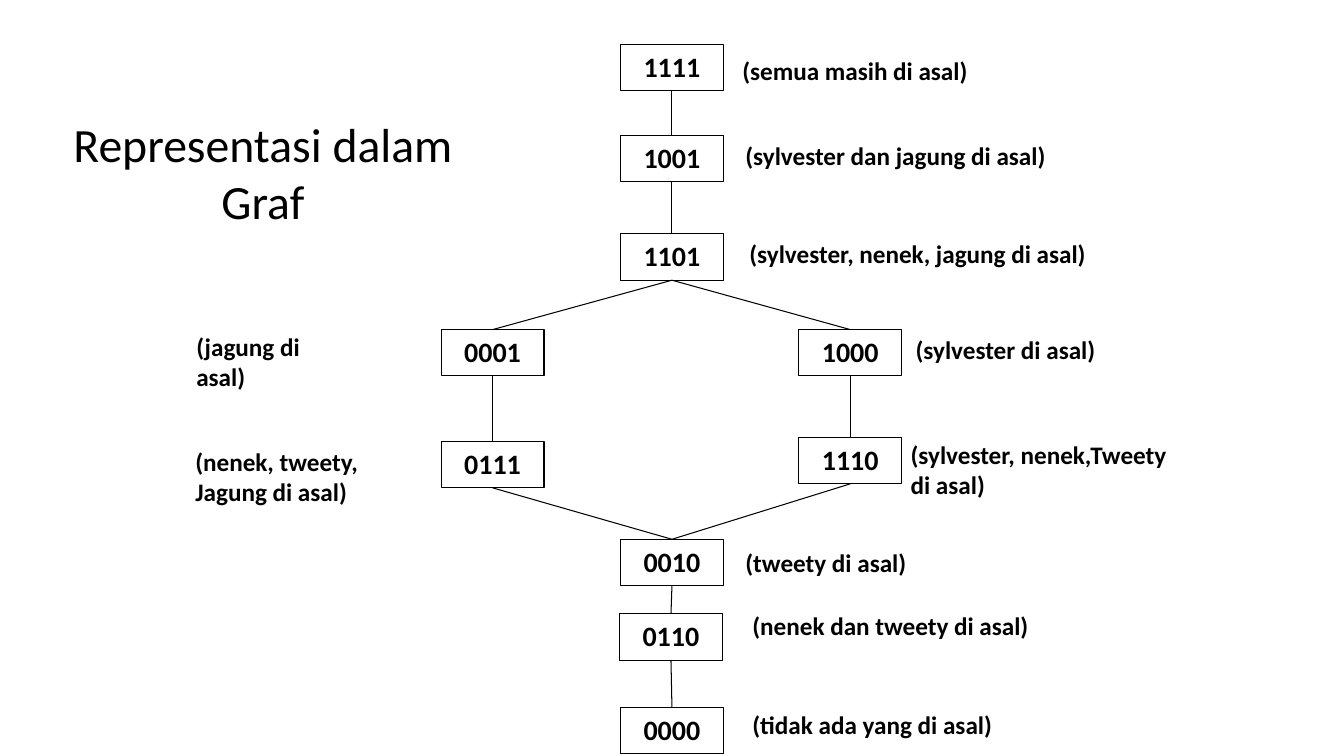
from lxml.etree import SubElement
from pptx import Presentation
from pptx.dml.color import RGBColor as RGB
from pptx.enum.shapes import MSO_CONNECTOR as LineKind, MSO_SHAPE as Preset
from pptx.enum.text import MSO_ANCHOR as Anchor, PP_ALIGN as Align
from pptx.oxml.ns import qn
from pptx.util import Inches, Pt

COLORS = {"ink": "000000", "paper": "FFFFFF"}
STATE_WIDTH, STATE_HEIGHT = 1.02, 0.46
BOTTOM, TOP = 2, 0

STATES = {
    "1111": (6.16, 0.44),
    "1001": (6.16, 1.34),
    "1101": (6.16, 2.32),
    "0001": (4.38, 3.27),
    "1000": (7.93, 3.27),
    "1110": (7.93, 4.34),
    "0111": (4.38, 4.38),
    "0010": (6.16, 5.35),
    "0110": (6.15, 6.09),
    "0000": (6.16, 7.02),
}

MOVES = [
    ("1111", "1001"), ("1001", "1101"), ("1101", "0001"), ("1101", "1000"),
    ("1000", "1110"), ("0001", "0111"), ("0111", "0010"), ("1110", "0010"),
    ("0010", "0110"), ("0110", "0000"),
]

MEANINGS = [
    ("(semua masih di asal)", 7.27, 0.5, 2.5),
    ("(sylvester dan jagung di asal)", 7.3, 1.34, 3.25),
    ("(sylvester, nenek, jagung di asal)", 7.34, 2.32, 3.65),
    ("(jagung di asal)", 1.85, 3.24, 1.6),
    ("(nenek, tweety,\nJagung di asal)", 1.84, 4.38, 1.95),
    ("(tweety di asal)", 7.3, 5.38, 1.88),
    ("(nenek dan tweety di asal)", 7.37, 6.01, 3),
    ("(tidak ada yang di asal)", 7.37, 6.99, 2.65),
    ("(sylvester di asal)", 8.99, 3.27, 2.05),
    ("(sylvester, nenek,Tweety\ndi asal)", 8.94, 4.31, 2.85),
]


class GraphSlide:
    font = "Calibri"
    line_width = Pt(0.75)

    def __init__(self, deck):
        self.shapes = deck.slides.add_slide(deck.slide_layouts[6]).shapes

    def color(self, name):
        return RGB.from_string(COLORS[name])

    def set_text(self, frame, text, size, bold=True, align=Align.LEFT):
        frame.word_wrap = True
        frame.text = text
        for paragraph in frame.paragraphs:
            paragraph.alignment = align
            for run in paragraph.runs:
                run.font.name = self.font
                run.font.size = Pt(size)
                run.font.bold = bold
                run.font.color.rgb = self.color("ink")

    def outline(self, line):
        line.color.rgb = self.color("ink")
        line.width = self.line_width

    def state(self, code, left, top):
        node = self.shapes.add_shape(Preset.RECTANGLE, Inches(left), Inches(top),
                                     Inches(STATE_WIDTH), Inches(STATE_HEIGHT))
        node.shadow.inherit = False
        node.fill.solid()
        node.fill.fore_color.rgb = self.color("paper")
        self.outline(node.line)
        node.text_frame.vertical_anchor = Anchor.TOP
        self.set_text(node.text_frame, code, 20, align=Align.CENTER)
        return node

    def move(self, start, end):
        edge = self.shapes.add_connector(LineKind.STRAIGHT, 0, 0, 0, 0)
        edge.begin_connect(start, BOTTOM)
        edge.end_connect(end, TOP)
        self.outline(edge.line)
        SubElement(edge._element.spPr, qn("a:effectLst"))

    def label(self, text, left, top, width):
        height = 0.4 + 0.3 * text.count("\n")
        box = self.shapes.add_textbox(Inches(left), Inches(top), Inches(width), Inches(height))
        self.set_text(box.text_frame, text, 18)

    def title(self, text, left, top, width, height):
        box = self.shapes.add_textbox(Inches(left), Inches(top), Inches(width), Inches(height))
        box.text_frame.vertical_anchor = Anchor.MIDDLE
        self.set_text(box.text_frame, text, 34.1, bold=False, align=Align.CENTER)


def main():
    deck = Presentation()
    deck.slide_width, deck.slide_height = Inches(13.34), Inches(7.5)
    graph = GraphSlide(deck)
    nodes = {code: graph.state(code, *place) for code, place in STATES.items()}
    for start, end in MOVES:
        graph.move(nodes[start], nodes[end])
    graph.title("Representasi dalam Graf", 0.61, 1.08, 4, 1.25)
    for meaning in MEANINGS:
        graph.label(*meaning)
    deck.save("out.pptx")


if __name__ == "__main__":
    main()
